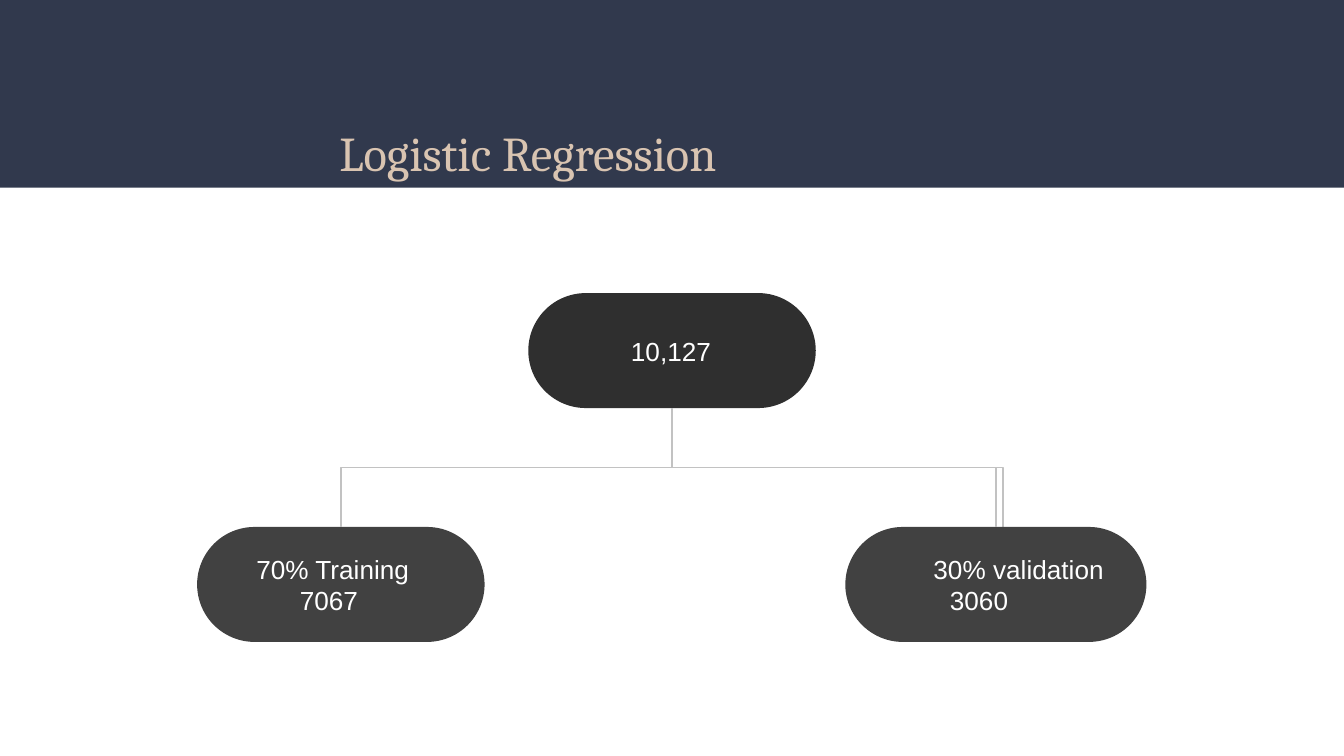
from lxml.etree import SubElement
from pptx import Presentation
from pptx.dml.color import RGBColor
from pptx.enum.shapes import MSO_CONNECTOR, MSO_SHAPE
from pptx.enum.text import MSO_ANCHOR, PP_ALIGN
from pptx.oxml.ns import qn
from pptx.util import Pt

NAVY = RGBColor(0x31, 0x39, 0x4D)
SAND = RGBColor(0xD9, 0xC4, 0xB1)
BLACK = RGBColor(0x2F, 0x2F, 0x2F)
GREY = RGBColor(0x41, 0x41, 0x41)
LINE = RGBColor(0xC2, 0xC2, 0xC2)
WHITE = RGBColor(0xFF, 0xFF, 0xFF)

SLIDE_W, SLIDE_H = 720, 405
CENTER = SLIDE_W / 2
NODE_W, NODE_H = 154, 61.6
ROOT_TOP, CHILD_TOP = 157, 282.3
ROOT_BOTTOM = ROOT_TOP + NODE_H

TITLE_FONT = {"name": "Cambria", "size": Pt(26), "bold": False}
NODE_FONT = {"name": "Arial", "size": Pt(14)}
TITLE_FRAME = {"margin_left": Pt(79.2), "margin_right": Pt(13.7),
               "margin_top": Pt(7.2), "margin_bottom": Pt(7.2),
               "vertical_anchor": MSO_ANCHOR.TOP, "word_wrap": True}
NODE_FRAME = {"margin_left": Pt(7.2), "margin_right": Pt(7.2),
              "margin_top": Pt(7.2), "margin_bottom": Pt(7.2),
              "vertical_anchor": MSO_ANCHOR.MIDDLE, "word_wrap": True}


def apply(target, values):
    for name, value in values.items():
        setattr(target, name, value)


def add_block(s, kind, left, top, width, height, color):
    sp = s.shapes.add_shape(kind, Pt(left), Pt(top), Pt(width), Pt(height))
    sp.shadow.inherit = False
    sp.fill.solid()
    sp.fill.fore_color.rgb = color
    sp.line.fill.background()
    return sp


def add_title(s, text):
    sp = s.shapes.title
    apply(sp, {"left": Pt(-14.4), "top": Pt(27.4),
               "width": Pt(529.2), "height": Pt(46.1)})
    tf = sp.text_frame
    apply(tf, TITLE_FRAME)
    p = tf.paragraphs[0]
    apply(p, {"alignment": PP_ALIGN.CENTER, "line_spacing": 2.0})
    r = p.add_run()
    r.text = text
    apply(r.font, TITLE_FONT)
    r.font.color.rgb = SAND


def add_node(s, left, top, width, color, lines):
    sp = add_block(s, MSO_SHAPE.ROUNDED_RECTANGLE,
                   left, top, width, NODE_H, color)
    sp.adjustments[0] = 0.5
    tf = sp.text_frame
    apply(tf, NODE_FRAME)
    for i, (text, indent) in enumerate(lines):
        p = tf.add_paragraph() if i else tf.paragraphs[0]
        p.alignment = PP_ALIGN.LEFT
        p._p.get_or_add_pPr().set("marL", str(Pt(indent)))
        r = p.add_run()
        r.text = text
        apply(r.font, NODE_FONT)
        r.font.color.rgb = WHITE


def add_branch(s, child_x):
    drop, span = CHILD_TOP - ROOT_BOTTOM, abs(child_x - CENTER)
    left = (CENTER + child_x - drop) / 2
    top = (ROOT_BOTTOM + CHILD_TOP - span) / 2
    cxn = s.shapes.add_connector(MSO_CONNECTOR.ELBOW, Pt(left), Pt(top),
                                 Pt(left + drop), Pt(top + span))
    cxn.line.color.rgb = LINE
    cxn.line.width = Pt(0.75)
    spPr = cxn._element.spPr
    SubElement(spPr, qn("a:effectLst"))
    xfrm = spPr.find(qn("a:xfrm"))
    xfrm.set("rot", "16200000")
    if child_x > CENTER:
        xfrm.set("flipH", "1")


def main():
    prs = Presentation()
    apply(prs, {"slide_width": Pt(SLIDE_W), "slide_height": Pt(SLIDE_H)})
    s = prs.slides.add_slide(prs.slide_layouts[5])

    banner = add_block(s, MSO_SHAPE.RECTANGLE, 0, 0, SLIDE_W, 100.5, NAVY)
    s.shapes._spTree.insert(2, banner._element)
    add_title(s, "Logistic Regression")

    add_branch(s, 537.4)
    add_node(s, CENTER - NODE_W / 2, ROOT_TOP, NODE_W, BLACK,
             [("10,127", 38.9)])
    add_node(s, 452.9, CHILD_TOP, 161.3, GREY,
             [("30% validation", 31.1), ("3060", 39.9)])
    add_node(s, 105.6, CHILD_TOP, NODE_W, GREY,
             [("70% Training", 15.6), ("7067", 38.9)])
    for child_x in (533.5, 182.6):
        add_branch(s, child_x)

    prs.save("out.pptx")


if __name__ == "__main__":
    main()
